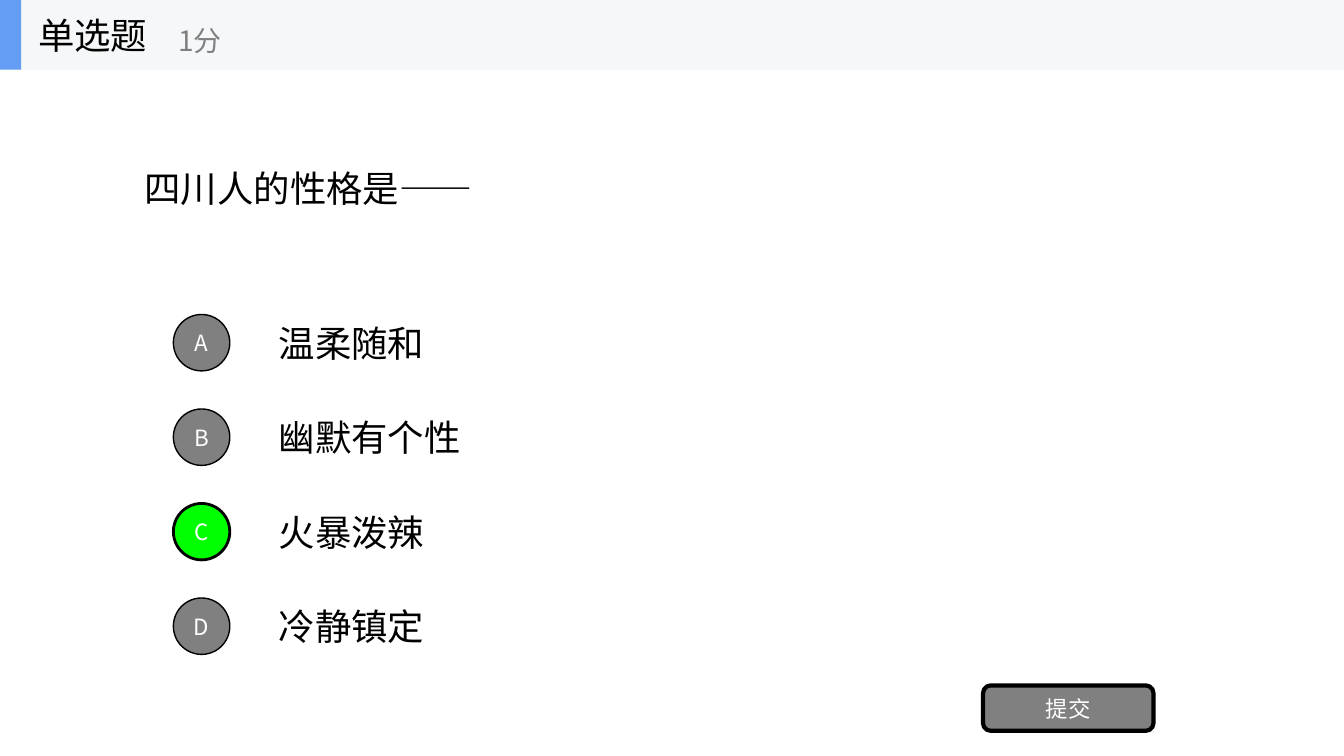
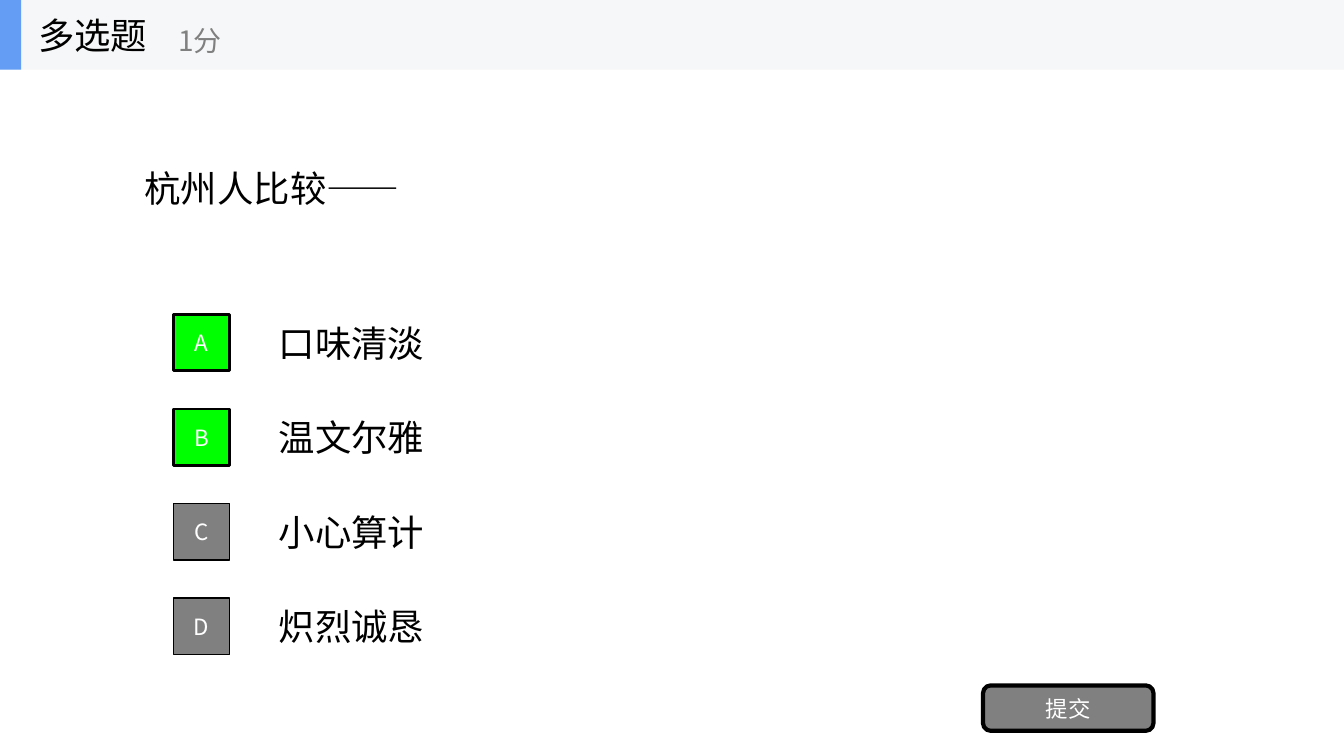
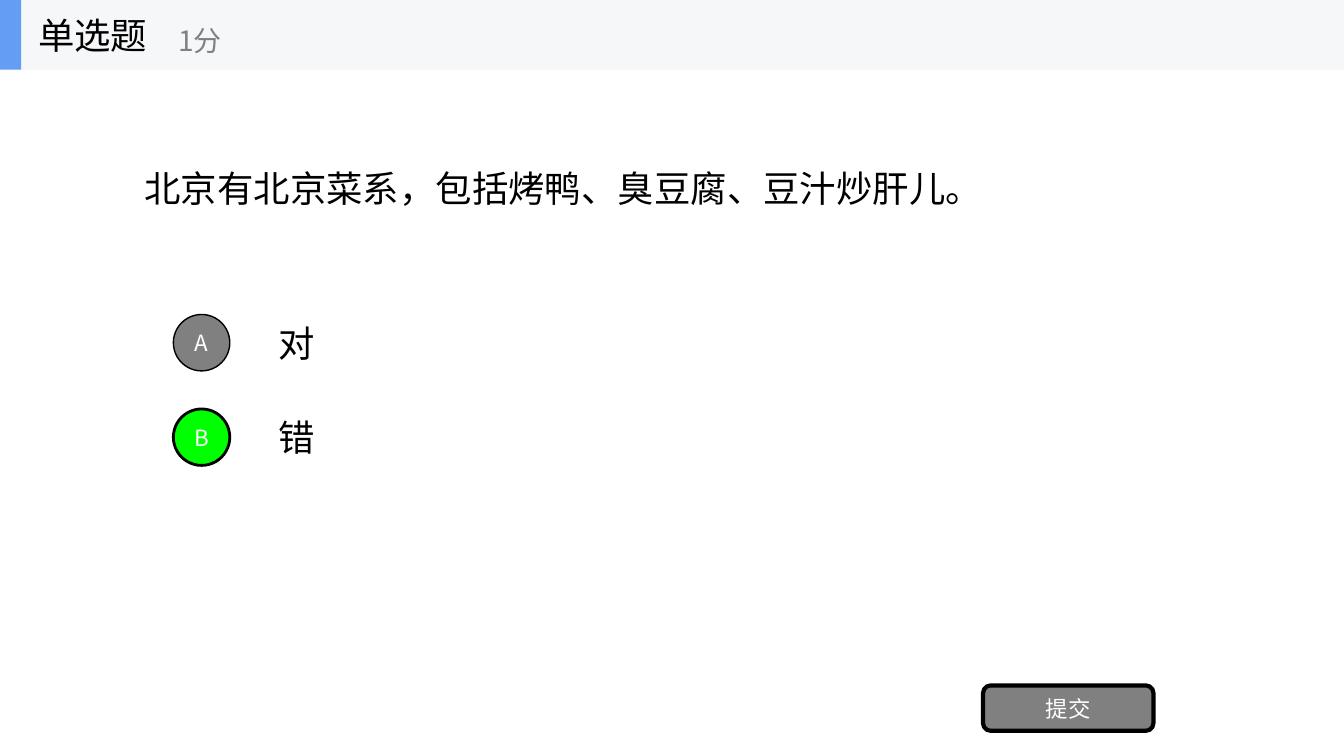
from pptx import Presentation
from pptx import util as u
from pptx.dml.color import RGBColor
from pptx.enum import shapes, text
from pptx.oxml.ns import qn
from lxml import etree

# Shared style
FONT = "Noto Sans CJK SC"
BLACK = RGBColor(0x00, 0x00, 0x00)
WHITE = RGBColor(0xFF, 0xFF, 0xFF)
GREY = RGBColor(0x80, 0x80, 0x80)
GREEN = RGBColor(0x00, 0xFF, 0x00)
BAND = RGBColor(0xF6, 0xF7, 0xF8)
ACCENT = RGBColor(0x63, 0x9E, 0xF4)
RECT = shapes.MSO_SHAPE.RECTANGLE
OVAL = shapes.MSO_SHAPE.OVAL
ROUNDED = shapes.MSO_SHAPE.ROUNDED_RECTANGLE

# Grid: ten columns, eight rows, inches
WIDTH, HEIGHT = 13.33, 7.5
COLUMN, ROW = WIDTH / 10, HEIGHT / 8
HEADER = 0.69
OPTION_TOP, OPTION_HEIGHT = 3.05, 0.7
MARK = 0.56
MARK_LEFT = 1.5 * COLUMN - MARK / 2
MARK_TOP = OPTION_TOP + (OPTION_HEIGHT - MARK) / 2

# Kind, marker shape, question, options, correct letters
QUESTIONS = [
    ("单选题", OVAL, "四川人的性格是——",
     ["温柔随和", "幽默有个性", "火暴泼辣", "冷静镇定"], "C"),
    ("多选题", RECT, "杭州人比较——",
     ["口味清淡", "温文尔雅", "小心算计", "炽烈诚恳"], "AB"),
    ("单选题", OVAL, "北京有北京菜系，包括烤鸭、臭豆腐、豆汁炒肝儿。",
     ["对", "错"], "B"),
]


def add_words(box, words, size=26, color=BLACK, align=text.PP_ALIGN.LEFT):
    frame = box.text_frame
    frame.word_wrap = True
    frame.vertical_anchor = text.MSO_ANCHOR.MIDDLE
    para = frame.paragraphs[0]
    para.alignment = align
    span = para.add_run()
    span.text = words
    span.font.size = u.Pt(size)
    span.font.color.rgb = color
    span.font.name = FONT
    # East Asian text takes its typeface from its own element
    etree.SubElement(span.font._element, qn("a:ea"), typeface=FONT)


def add_block(parent, kind, place, fill, line=0, words=""):
    block = parent.shapes.add_shape(kind, *map(u.Inches, place))
    block.shadow.inherit = False
    block.fill.solid()
    block.fill.fore_color.rgb = fill
    if line:
        block.line.color.rgb = BLACK
        block.line.width = u.Pt(line)
    else:
        block.line.fill.background()
    if words:
        add_words(block, words, size=16, color=WHITE, align=text.PP_ALIGN.CENTER)
        block.text_frame.margin_left = block.text_frame.margin_right = 0


deck = Presentation()
deck.slide_width, deck.slide_height = u.Inches(WIDTH), u.Inches(HEIGHT)

for kind, marker, question, options, correct in QUESTIONS:
    page = deck.slides.add_slide(deck.slide_layouts[6])

    # Question
    place = (COLUMN, HEADER, 8 * COLUMN, 2.5 * ROW)
    add_words(page.shapes.add_textbox(*map(u.Inches, place)), question)

    # Option texts
    for row, option in enumerate(options):
        place = (2 * COLUMN, OPTION_TOP + row * ROW, 7 * COLUMN, OPTION_HEIGHT)
        add_words(page.shapes.add_textbox(*map(u.Inches, place)), option)

    # Option markers, the correct ones in green with a heavier line
    for row, letter in enumerate("ABCD"[:len(options)]):
        right = letter in correct
        add_block(page, marker, (MARK_LEFT, MARK_TOP + row * ROW, MARK, MARK),
                  GREEN if right else GREY, line=2 if right else 1, words=letter)

    # Submit button
    add_block(page, ROUNDED, (9.75, 6.8, 1.69, 0.45), GREY, line=3, words="提交")

    # Header band with question kind and score
    header = page.shapes.add_group_shape()
    add_block(header, RECT, (0, 0, WIDTH, HEADER), BAND)
    add_block(header, RECT, (0, 0, 0.21, HEADER), ACCENT)
    place = (0.28, 0, 2.08, HEADER)
    add_words(header.shapes.add_textbox(*map(u.Inches, place)), kind)
    place = (1.67, 0.12, 2.5, MARK)
    add_words(header.shapes.add_textbox(*map(u.Inches, place)), "1分",
              size=20, color=GREY)

deck.save("out.pptx")
